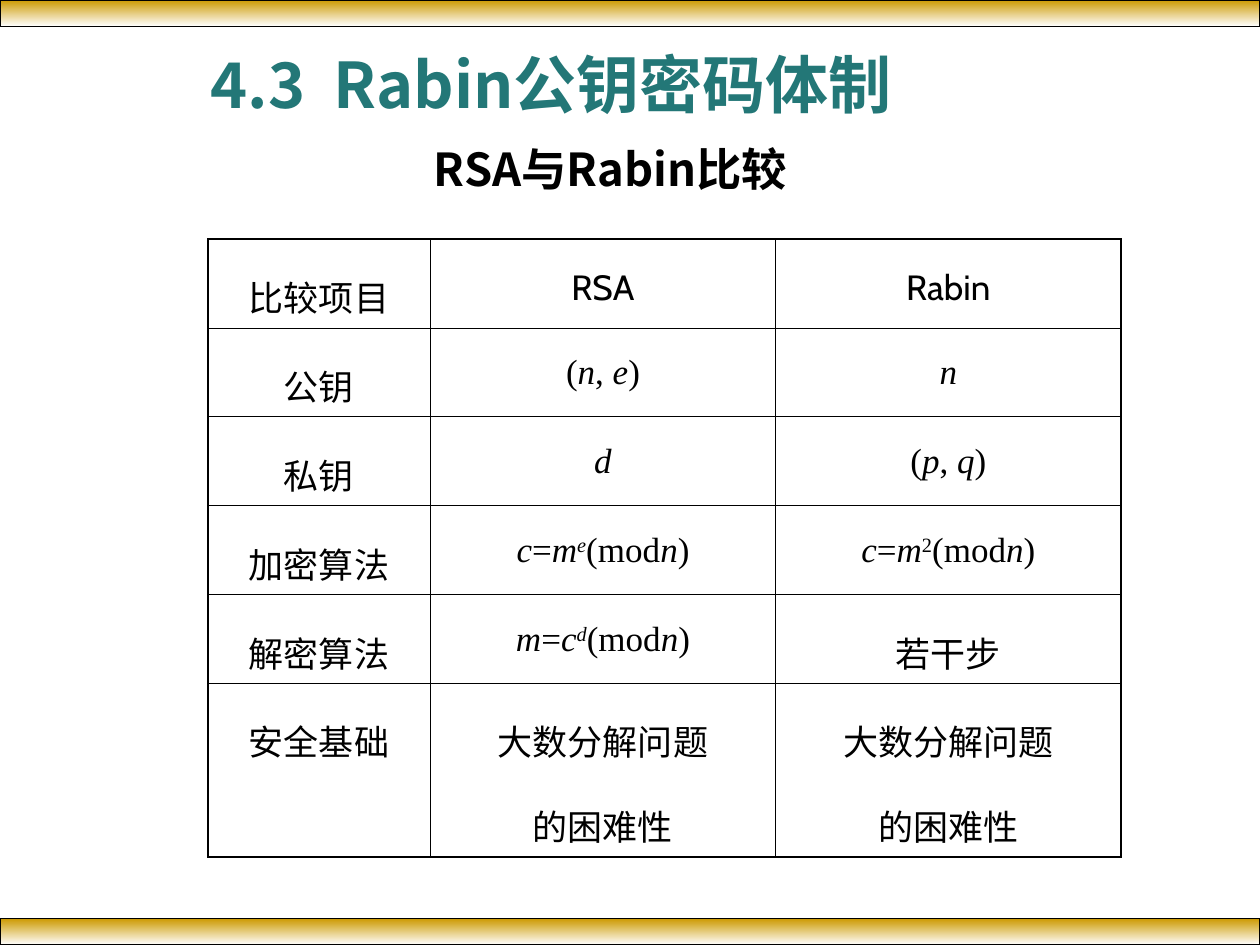
from lxml import etree
from pptx import Presentation
from pptx.dml.color import RGBColor
from pptx.enum import shapes, text
from pptx.oxml.ns import qn
from pptx.util import Pt

GOLD = RGBColor(0xCC, 0x99, 0x00)
WHITE = RGBColor(0xFF, 0xFF, 0xFF)
BLACK = RGBColor(0x00, 0x00, 0x00)
TEAL = RGBColor(0x23, 0x77, 0x77)

CJK = "Noto Sans CJK SC"
SANS = "Cabin"
SERIF = "Times New Roman"

SLIDE_W, SLIDE_H, BAND_H = 720, 540, 15.12
COL_WIDTHS = [127, 197.5, 197.2]
ROW_HEIGHTS = [50.8] * 5 + [99]
THIN, THICK = 0.45, 1.08

# A string is plain text; a tuple is a formula, with ^ marking a superscript.
ROWS = [
    ["比较项目", "RSA", "Rabin"],
    ["公钥", ("(", "n", ", ", "e", ")"), ("n",)],
    ["私钥", ("d",), ("(", "p", ", ", "q", ")")],
    ["加密算法", ("c", "=", "m", "^e", "(mod", "n", ")"),
     ("c", "=", "m", "^2", "(mod", "n", ")")],
    ["解密算法", ("m", "=", "c", "^d", "(mod", "n", ")"), "若干步"],
    ["安全基础", "大数分解问题\n的困难性", "大数分解问题\n的困难性"],
]


def style_paragraph(p, size, font, color, bold=False):
    p.alignment = text.PP_ALIGN.CENTER
    p.font.size = Pt(size)
    p.font.name = font
    p.font.bold = bold
    p.font.color.rgb = color
    def_rpr = p._p.pPr.find(qn("a:defRPr"))
    ea = etree.Element(qn("a:ea"), typeface=CJK)
    def_rpr.find(qn("a:latin")).addnext(ea)


def add_band(slide, top):
    sp = slide.shapes.add_shape(shapes.MSO_SHAPE.RECTANGLE,
                                0, Pt(top), Pt(SLIDE_W), Pt(BAND_H))
    sp.shadow.inherit = False
    sp.fill.gradient()
    sp.fill.gradient_angle = 270
    for stop, color in zip(sp.fill.gradient_stops, (GOLD, WHITE)):
        stop.color.rgb = color
    sp.line.color.rgb = BLACK
    sp.line.width = Pt(0.75)


def add_heading(slide, box, words, size, color, anchor):
    tf = slide.shapes.add_textbox(*map(Pt, box)).text_frame
    tf.word_wrap = True
    tf.vertical_anchor = anchor
    p = tf.paragraphs[0]
    p.text = words
    style_paragraph(p, size, CJK, color, bold=True)
    return p


def add_formula(p, pieces):
    """Single letters are variables and set in italics."""
    for piece in pieces:
        symbol = piece.lstrip("^")
        r = p.add_run()
        r.text = symbol
        r.font.italic = len(symbol) == 1 and symbol.isalpha()
        if piece != symbol:
            r._r.get_or_add_rPr().set("baseline", "30000")


def set_borders(cell, widths):
    """Widths are given in the order left, right, top, bottom."""
    tc_pr = cell._tc.get_or_add_tcPr()
    for i, (side, width) in enumerate(zip("LRTB", widths)):
        ln = etree.Element(qn(f"a:ln{side}"), w=str(Pt(width)))
        fill = etree.SubElement(ln, qn("a:solidFill"))
        etree.SubElement(fill, qn("a:srgbClr"), val=str(BLACK))
        tc_pr.insert(i, ln)


def fill_cell(cell, content):
    cell.fill.background()
    tf = cell.text_frame
    is_formula = isinstance(content, tuple)
    if is_formula:
        add_formula(tf.paragraphs[0], content)
    else:
        tf.text = content
    for i, p in enumerate(tf.paragraphs):
        p.line_spacing = 1.5
        p.space_before = Pt(5 if i else 0)
        style_paragraph(p, 20, SERIF if is_formula else SANS, BLACK)


def add_comparison_table(slide, left, top):
    n_rows, n_cols = len(ROWS), len(COL_WIDTHS)
    table = slide.shapes.add_table(
        n_rows, n_cols, Pt(left), Pt(top),
        Pt(sum(COL_WIDTHS)), Pt(sum(ROW_HEIGHTS))).table
    table.first_row = table.horz_banding = False
    for column, width in zip(table.columns, COL_WIDTHS):
        column.width = Pt(width)
    for row, height in zip(table.rows, ROW_HEIGHTS):
        row.height = Pt(height)
    for i, contents in enumerate(ROWS):
        for j, content in enumerate(contents):
            cell = table.cell(i, j)
            fill_cell(cell, content)
            outer = (j == 0, j == n_cols - 1, i == 0, i == n_rows - 1)
            set_borders(cell, [THICK if edge else THIN for edge in outer])


def main():
    prs = Presentation()
    prs.slide_width, prs.slide_height = Pt(SLIDE_W), Pt(SLIDE_H)
    slide = prs.slides.add_slide(prs.slide_layouts[6])
    for top in (0, SLIDE_H - BAND_H):
        add_band(slide, top)
    add_heading(slide, (8.2, 14.6, 613.44, 66.24), "4.3  Rabin公钥密码体制",
                36, TEAL, text.MSO_ANCHOR.MIDDLE)
    subtitle = add_heading(slide, (224.64, 80.64, 248.4, 45.36),
                           "RSA与Rabin比较", 25.9, BLACK, text.MSO_ANCHOR.TOP)
    subtitle.line_spacing = 0.9
    add_comparison_table(slide, 118.8, 136.6)
    prs.save("out.pptx")


if __name__ == "__main__":
    main()
